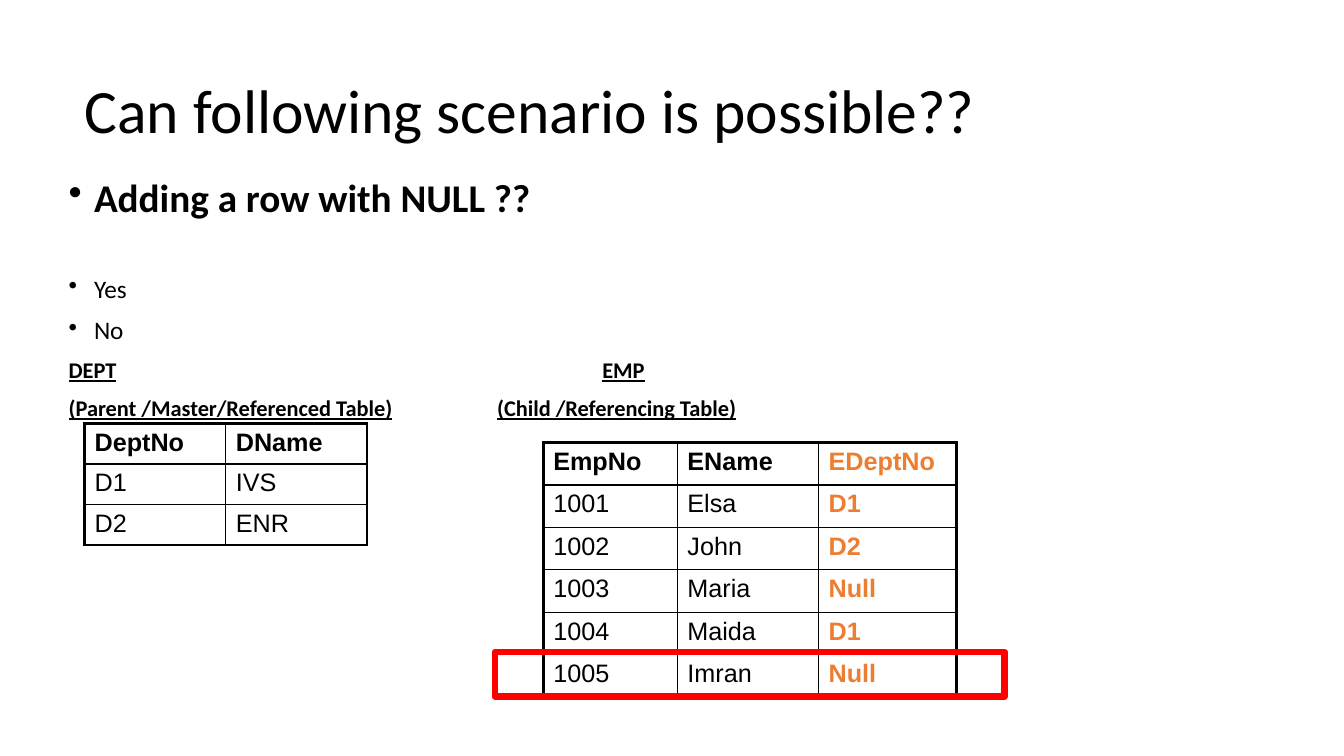
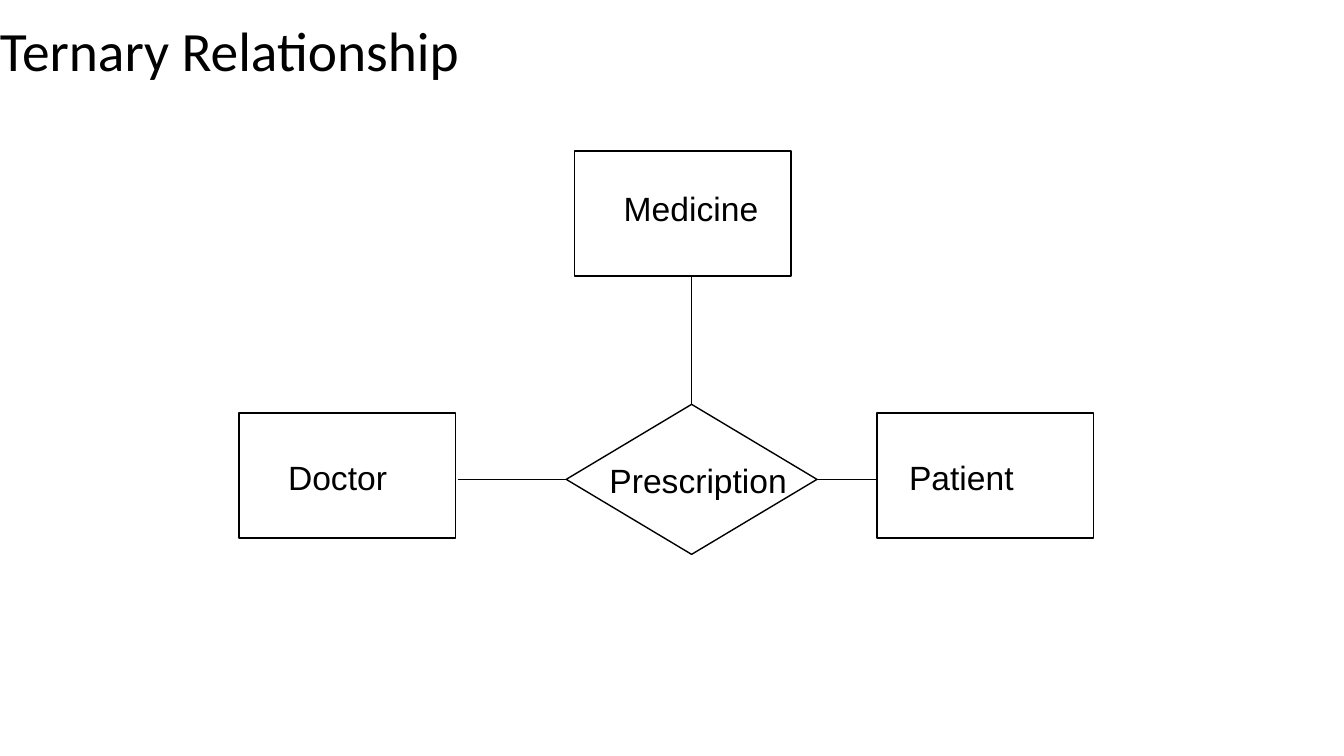
from lxml.etree import SubElement
from pptx import Presentation
from pptx.dml.color import RGBColor
from pptx.enum.shapes import MSO_CONNECTOR, MSO_SHAPE
from pptx.enum.text import MSO_ANCHOR
from pptx.oxml.ns import qn
from pptx.util import Cm, Pt

BLACK = RGBColor(0x00, 0x00, 0x00)
ORANGE = RGBColor(0xED, 0x7D, 0x31)
RED = RGBColor(0xFF, 0x00, 0x00)
HEADING_FONT = "Calibri"
LABEL_FONT = "Arial"
THIN, THICK = Pt(1), Pt(2.25)
TOP, LEFT, RIGHT = 0, 1, 3

DEPARTMENTS = [("DeptNo", "DName"), ("D1", "IVS"), ("D2", "ENR")]
EMPLOYEES = [
    ("EmpNo", "EName", "EDeptNo"),
    ("1001", "Elsa", "D1"),
    ("1002", "John", "D2"),
    ("1003", "Maria", "Null"),
    ("1004", "Maida", "D1"),
    ("1005", "Imran", "Null"),
]


def add_slide(presentation):
    return presentation.slides.add_slide(presentation.slide_layouts[6])


def write_text(paragraph, text, size=18, font=LABEL_FONT, color=BLACK, bold=False,
               underline=False, line_spacing=None, space_before=0, bullet=False,
               tab_stop=None):
    """Fill a paragraph; a tab in the text gets a run that is never underlined."""
    properties = paragraph._p.get_or_add_pPr()
    if bullet:
        properties.set("marL", str(Cm(0.64)))
        properties.set("indent", str(Cm(-0.64)))
        SubElement(properties, qn("a:buChar"), char="•")
    if tab_stop:
        tabs = SubElement(properties, qn("a:tabLst"))
        SubElement(tabs, qn("a:tab"), pos=str(Cm(tab_stop)), algn="l")
    paragraph.line_spacing = line_spacing
    paragraph.space_before = Pt(space_before)
    before, tab, after = text.partition("\t")
    for part in filter(None, (before, tab, after)):
        run = paragraph.add_run()
        run.text = part
        run.font.size = Pt(size)
        run.font.name = font
        run.font.color.rgb = color
        run.font.bold = bold
        run.font.underline = underline and part != "\t"


def add_text_frame(slide, left, top, width, height, inset=0.0, wrap=True):
    box = slide.shapes.add_textbox(Cm(left), Cm(top), Cm(width), Cm(height))
    frame = box.text_frame
    frame.word_wrap = wrap
    frame.margin_left = Cm(inset)
    return frame


def add_title(slide, text, left, top, width, height, size):
    frame = add_text_frame(slide, left, top, width, height)
    frame.vertical_anchor = MSO_ANCHOR.MIDDLE
    write_text(frame.paragraphs[0], text, size=size, font=HEADING_FONT, line_spacing=0.9)


def add_body(slide, left, top, width, height, lines):
    """Add one text box; lines holds pairs of text and its format."""
    frame = add_text_frame(slide, left, top, width, height)
    frame.margin_top = 0
    for index, (text, text_format) in enumerate(lines):
        paragraph = frame.add_paragraph() if index else frame.paragraphs[0]
        write_text(paragraph, text, font=HEADING_FONT, line_spacing=0.9, **text_format)


def add_label(slide, text, left, top, width):
    frame = add_text_frame(slide, left, top, width, 1.27, inset=0.25, wrap=False)
    write_text(frame.paragraphs[0], text, size=24)


def set_borders(cell, widths):
    """Draw black borders; widths maps L, R, T and B to line widths."""
    properties = cell._tc.get_or_add_tcPr()
    for position, (side, width) in enumerate(widths.items()):
        line = SubElement(properties, qn(f"a:ln{side}"), w=str(width))
        fill = SubElement(line, qn("a:solidFill"))
        SubElement(fill, qn("a:srgbClr"), val=str(BLACK))
        properties.insert(position, line)


def add_grid(slide, rows, left, top, column_widths, row_height, key_column=None):
    """Add a table with a bold header, a thick outline and an orange key column."""
    row_count, column_count = len(rows), len(column_widths)
    table = slide.shapes.add_table(
        row_count, column_count, Cm(left), Cm(top),
        Cm(sum(column_widths)), Cm(row_height * row_count)).table
    table.first_row = table.horz_banding = False
    for column, width in zip(table.columns, column_widths):
        column.width = Cm(width)
    for row_index, values in enumerate(rows):
        table.rows[row_index].height = Cm(row_height)
        for column_index, value in enumerate(values):
            cell = table.cell(row_index, column_index)
            is_key = column_index == key_column
            cell.fill.background()
            write_text(cell.text_frame.paragraphs[0], value,
                       bold=is_key or row_index == 0,
                       color=ORANGE if is_key else BLACK)
            set_borders(cell, {
                "L": THICK if column_index == 0 else THIN,
                "R": THICK if column_index == column_count - 1 else THIN,
                "T": THICK if row_index == 0 else THIN,
                "B": THICK if row_index == row_count - 1 else THIN,
            })


def add_outline(slide, kind, left, top, width, height, color=BLACK, line_width=THIN):
    """Add an unfilled preset shape."""
    shape = slide.shapes.add_shape(kind, Cm(left), Cm(top), Cm(width), Cm(height))
    shape.shadow.inherit = False
    shape.fill.background()
    shape.line.color.rgb = color
    shape.line.width = line_width
    return shape


def add_link(slide, x, y, target, site):
    """Draw a line from a point to a connection site of the target shape."""
    start = Cm(x), Cm(y)
    connector = slide.shapes.add_connector(MSO_CONNECTOR.STRAIGHT, *start, *start)
    connector.end_connect(target, site)
    connector.line.color.rgb = BLACK
    connector.line.width = THIN
    SubElement(connector._element.spPr, qn("a:effectLst"))


def build_null_row_slide(presentation):
    slide = add_slide(presentation)
    add_title(slide, "Can following scenario is possible??", 2.13, 1.02, 27.08, 3.68, 44)
    answer = dict(bullet=True)
    caption = dict(size=16, bold=True, underline=True, space_before=10)
    add_body(slide, 1.73, 4.5, 22, 6.2, [
        ("Adding a row with NULL ??", dict(size=28, bold=True, bullet=True)),
        ("Yes", dict(answer, space_before=40)),
        ("No", dict(answer, space_before=10)),
        ("DEPT\tEMP", dict(caption, tab_stop=13.45)),
        ("(Parent /Master/Referenced Table)\t(Child /Referencing Table)",
         dict(caption, tab_stop=10.8)),
    ])
    add_grid(slide, DEPARTMENTS, 2.13, 10.67, [3.56, 3.56], 1.02)
    add_grid(slide, EMPLOYEES, 13.69, 11.15, [3.38, 3.56, 3.48], 1.07, key_column=2)
    add_outline(slide, MSO_SHAPE.RECTANGLE, 12.47, 16.43, 12.85, 1.12, RED, Pt(4.5))


def build_ternary_slide(presentation):
    slide = add_slide(presentation)
    add_title(slide, "Ternary Relationship", 0, 0.64, 23.83, 1.42, 39.6)
    for left, top in [(6.02, 10.41), (22.1, 10.41), (14.48, 3.81)]:
        add_outline(slide, MSO_SHAPE.RECTANGLE, left, top, 5.46, 3.15)
    relationship = add_outline(slide, MSO_SHAPE.DIAMOND, 14.27, 10.19, 6.32, 3.78)
    for x, y, site in [(17.43, 6.99, TOP), (11.53, 12.08, LEFT), (22.07, 12.08, RIGHT)]:
        add_link(slide, x, y, relationship, site)
    for text, left, top, width in [
        ("Doctor", 7.01, 11.38, 3.02),
        ("Medicine", 15.47, 4.6, 3.94),
        ("Patient", 22.66, 11.38, 3.18),
        ("Prescription", 15.11, 11.46, 5.03),
    ]:
        add_label(slide, text, left, top, width)


def main():
    presentation = Presentation()
    presentation.slide_width = Cm(33.87)
    presentation.slide_height = Cm(19.05)
    build_null_row_slide(presentation)
    build_ternary_slide(presentation)
    presentation.save("out.pptx")


if __name__ == "__main__":
    main()
